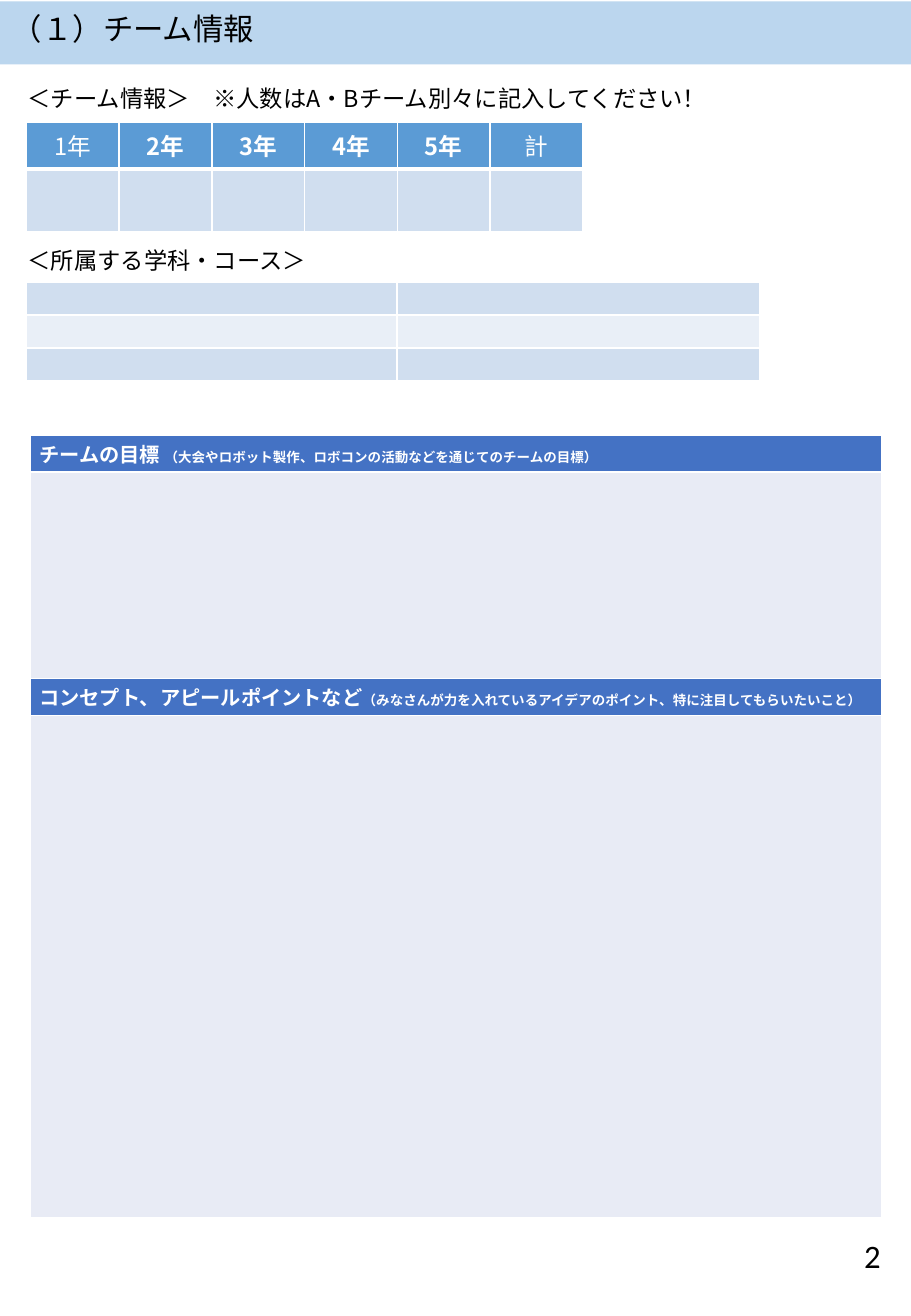
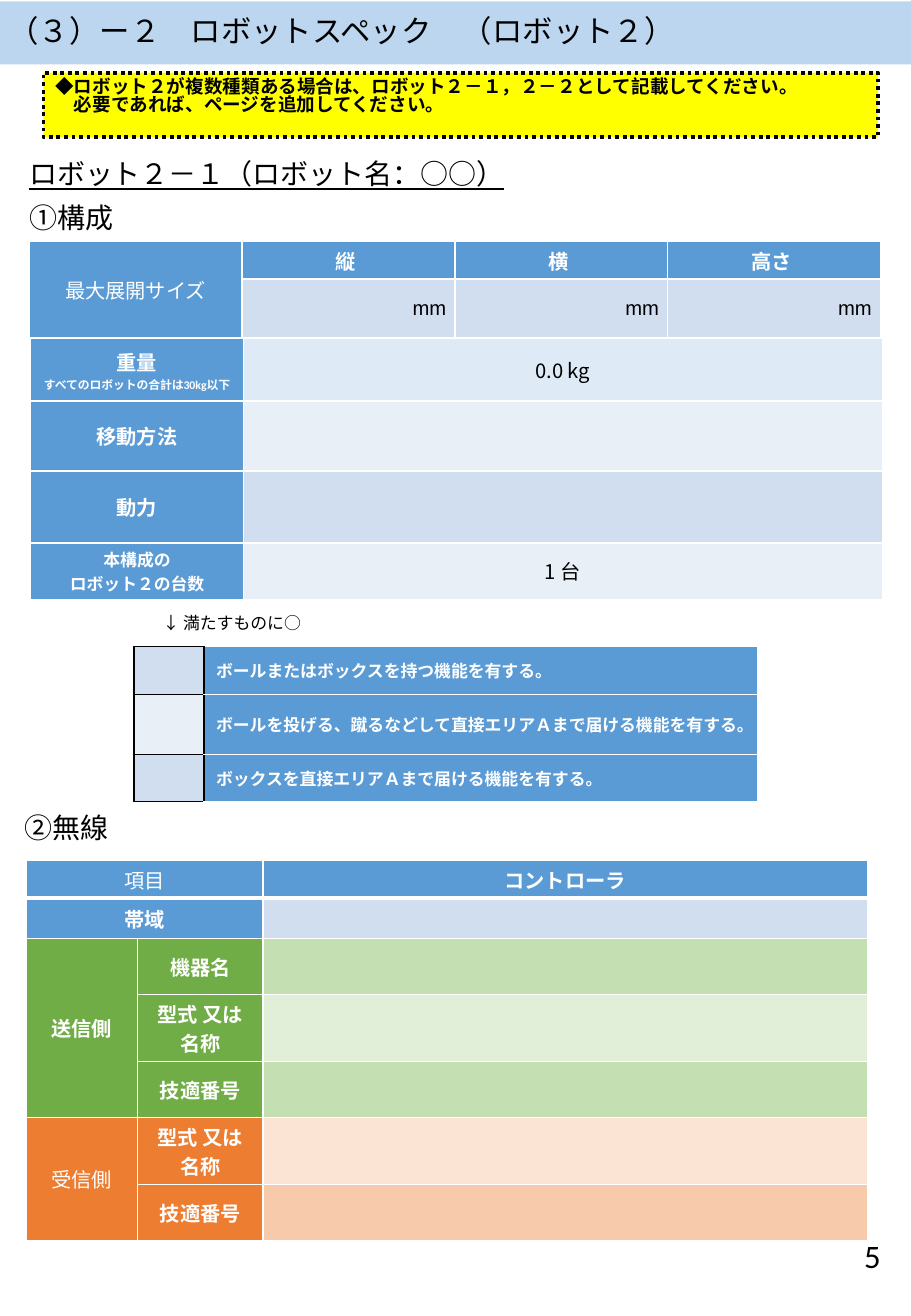
"""Build two entry-form pages for a robot contest: team details and robot specification."""
import itertools

import lxml.etree
import pptx
import pptx.dml.color
import pptx.enum.dml
import pptx.enum.shapes
import pptx.enum.text
import pptx.oxml.ns
import pptx.util

Cm, Pt = pptx.util.Cm, pptx.util.Pt
ALIGN = pptx.enum.text.PP_ALIGN
ANCHOR = pptx.enum.text.MSO_ANCHOR
JAPANESE = "Noto Sans CJK JP"

BLACK, WHITE, YELLOW, BAND = "000000", "FFFFFF", "FFFF00", "BBD6EE"
BLUE, BLUE_MID, BLUE_SOFT, BLUE_LIGHT = "5B9BD5", "D0DEEF", "DEEBF7", "E9EFF7"
NAVY, NAVY_LIGHT = "4472C4", "E8EBF5"
GREEN, GREEN_MID, GREEN_LIGHT = "70AD47", "C4E0B2", "E1EFD8"
ORANGE, ORANGE_MID, ORANGE_LIGHT = "ED7D31", "F7CAAC", "FBE4D4"

WIDE_INSET, TIGHT_INSET = (0.25, 0.13), (0.18, 0.08)
HEAD = {"color": WHITE, "bold": True, "align": ALIGN.CENTER}
PLAIN_HEAD = {**HEAD, "bold": False}
LEFT_HEAD = {**HEAD, "align": ALIGN.LEFT}
HEAD_ARIAL = {**HEAD, "font": "Arial"}
HEAD_CALIBRI = {**HEAD, "font": "Calibri"}
VALUE = {"align": ALIGN.CENTER}
UNIT = {"align": ALIGN.RIGHT, "font": "Arial"}
HEADING = {"size": 16.6, "spacing": 0.9}
SUBTITLE = {"size": 13.8, "spacing": 0.9}

PAGES = [
    {
        "title": ("（１）チーム情報", (0, 0.18, 6.53, 0.91), WIDE_INSET),
        "number": "2",
        "labels": [
            ("＜チーム情報＞　※人数はA・Bチーム別々に記入してください！",
             (0.33, 1.63, 15.7, 0.91), WIDE_INSET, SUBTITLE),
            ("＜所属する学科・コース＞", (0.33, 5.03, 15.7, 0.91), WIDE_INSET, SUBTITLE),
        ],
        "tables": [
            {"at": (0.55, 2.55), "cols": [1.94] * 6, "rows": [0.94, 1.32],
             "thick_head": True, "inset": WIDE_INSET, "size": 14,
             "cells": [
                 [("1年", BLUE, PLAIN_HEAD)]
                 + [(f"{year}年", BLUE, HEAD) for year in range(2, 6)]
                 + [("計", BLUE, PLAIN_HEAD)],
                 [("", BLUE_MID)] * 6]},
            {"at": (0.56, 5.9), "cols": [7.74, 7.59], "rows": [0.69] * 3,
             "cells": [[("", fill)] * 2 for fill in (BLUE_MID, BLUE_LIGHT, BLUE_MID)]},
            {"at": (0.64, 9.09), "cols": [17.8], "rows": [0.78, 4.31, 0.78, 10.5],
             "anchor": ANCHOR.TOP,
             "cells": [
                 [([[("チームの目標 ", 12),
                     ("（大会やロボット製作、ロボコンの活動などを通じてのチームの目標）", 8)]],
                   NAVY, {**LEFT_HEAD, "font": "Arial"})],
                 [("", NAVY_LIGHT)],
                 [([[("コンセプト、アピールポイントなど", 12),
                     ("（みなさんが力を入れているアイデアのポイント、特に注目してもらいたいこと）", 8)]],
                   NAVY, {**LEFT_HEAD, "font": "Arial"})],
                 [("", NAVY_LIGHT)]]},
        ],
    },
    {
        "title": ("（３）ー２　ロボットスペック　（ロボット２）", (0, 0, 15.85, 1.35), TIGHT_INSET),
        "number": "5",
        "notice": "◆ロボット２が複数種類ある場合は、ロボット２－１，２－２として記載してください。\n"
                  "　必要であれば、ページを追加してください。",
        "labels": [
            ("ロボット２－１（ロボット名：○○）", (0.43, 3, 17.8, 1.35), TIGHT_INSET,
             {**HEADING, "underline": True}),
            ("①構成", (0.43, 3.91, 17.8, 1.35), TIGHT_INSET, HEADING),
            ("↓ 満たすものに○", (3.15, 12.67, 5.5, 0.69), WIDE_INSET, {"size": 10}),
            ("②無線", (0.33, 16.66, 17.8, 1.35), TIGHT_INSET, HEADING),
        ],
        "tables": [
            {"at": (0.61, 5.05), "cols": [4.45] * 4, "rows": [0.78, 1.23],
             "merges": [(0, 0, 1, 0)],
             "cells": [
                 [("最大展開サイズ", BLUE, PLAIN_HEAD)]
                 + [(side, BLUE, HEAD_ARIAL) for side in ("縦 ", "横 ", "高さ ")],
                 [("", BLUE)] + [("mm", BLUE_MID, UNIT)] * 3]},
            {"at": (0.64, 7.08), "cols": [4.45, 13.36], "rows": [1.3, 1.47, 1.5, 1.18],
             "cells": [
                 [([[("重量", 12)], [("すべてのロボットの合計は30kg以下", 7)]], BLUE, HEAD_CALIBRI),
                  ("0.0 kg", BLUE_SOFT, VALUE)],
                 [("移動方法", BLUE, HEAD), ("", BLUE_LIGHT)],
                 [("動力", BLUE, HEAD), ("", BLUE_MID)],
                 [("本構成の\nロボット２の台数", BLUE, {**HEAD, "size": 10}),
                  ("1 台", BLUE_LIGHT, VALUE)]]},
            {"at": (2.8, 13.52), "cols": [1.47, 11.58], "rows": [1, 1.25, 0.98],
             "black_column": True, "inset": WIDE_INSET, "size": 10,
             "cells": [
                 [("", BLUE_MID), ("ボールまたはボックスを持つ機能を有する。", BLUE, LEFT_HEAD)],
                 [("", BLUE_LIGHT),
                  ("ボールを投げる、蹴るなどして直接エリアＡまで届ける機能を有する。", BLUE, LEFT_HEAD)],
                 [("", BLUE_MID),
                  ("ボックスを直接エリアＡまで届ける機能を有する。", BLUE, LEFT_HEAD)]]},
            {"at": (0.54, 17.99), "cols": [2.34, 2.62, 12.64],
             "rows": [0.78, 0.85, 1.17, 1.4, 1.17, 1.4, 1.17], "thick_head": True,
             "merges": [(0, 0, 0, 1), (1, 0, 1, 1), (2, 0, 4, 0), (5, 0, 6, 0)],
             "cells": [
                 [("項目", BLUE, PLAIN_HEAD), ("", BLUE), ("コントローラ", BLUE, HEAD)],
                 [("帯域", BLUE, HEAD), ("", BLUE), ("", BLUE_MID)],
                 [("送信側", GREEN, HEAD), ("機器名", GREEN, HEAD), ("", GREEN_MID)],
                 [("", GREEN), ("型式 又は 名称", GREEN, HEAD), ("", GREEN_LIGHT)],
                 [("", GREEN), ("技適番号", GREEN, HEAD), ("", GREEN_MID)],
                 [("受信側", ORANGE, PLAIN_HEAD), ("型式 又は 名称", ORANGE, HEAD),
                  ("", ORANGE_LIGHT)],
                 [("", ORANGE), ("技適番号", ORANGE, HEAD), ("", ORANGE_MID)]]},
        ],
    },
]


def rgb(value):
    return pptx.dml.color.RGBColor.from_string(value)


def paint(target, value):
    target.fill.solid()
    target.fill.fore_color.rgb = rgb(value)


def set_insets(target, inset):
    target.margin_left = target.margin_right = Cm(inset[0])
    target.margin_top = target.margin_bottom = Cm(inset[1])


def write(frame, text, size=12, color=BLACK, bold=False, underline=False,
          font=JAPANESE, align=ALIGN.LEFT, spacing=None):
    lines = [[(line, size)] for line in text.split("\n")] if isinstance(text, str) else text
    frame.text = "\n".join("" for line in lines)
    for para, line in zip(frame.paragraphs, lines):
        para.alignment = align
        if spacing:
            para.line_spacing = spacing
        for words, points in line:
            span = para.add_run()
            span.text = words
            span.font.size = Pt(points)
            span.font.name = font
            span.font.bold = bold
            span.font.underline = underline
            span.font.color.rgb = rgb(color)
            east_asian = lxml.etree.SubElement(span.font._element, pptx.oxml.ns.qn("a:ea"))
            east_asian.set("typeface", JAPANESE)


def fill_box(box, text, at, inset, anchor=ANCHOR.MIDDLE, **style):
    box.left, box.top, box.width, box.height = map(Cm, at)
    frame = box.text_frame
    write(frame, text, **style)
    frame.word_wrap = True
    frame.auto_size = pptx.enum.text.MSO_AUTO_SIZE.NONE
    frame.vertical_anchor = anchor
    set_insets(frame, inset)


def add_label(page, text, at, inset, style):
    fill_box(page.shapes.add_textbox(0, 0, 0, 0), text, at, inset, **style)


def add_rectangle(page, at, fill):
    box = page.shapes.add_shape(pptx.enum.shapes.MSO_SHAPE.RECTANGLE, *map(Cm, at))
    box.shadow.inherit = False
    paint(box, fill)
    box.line.fill.background()
    return box


def add_notice(page, text):
    at = (0.91, 1.52, 17.45, 1.35)
    box = add_rectangle(page, at, YELLOW)
    box.line.color.rgb = rgb(BLACK)
    box.line.width = Pt(2.25)
    box.line.dash_style = pptx.enum.dml.MSO_LINE.ROUND_DOT
    fill_box(box, text, at, WIDE_INSET, ANCHOR.TOP, size=11, bold=True, spacing=0.82)


def set_borders(cell, borders):
    properties = cell._tc.get_or_add_tcPr()
    for position, (side, (color, points)) in enumerate(borders.items()):
        line = lxml.etree.Element(pptx.oxml.ns.qn(f"a:ln{side}"), w=str(Pt(points)))
        solid = lxml.etree.SubElement(line, pptx.oxml.ns.qn("a:solidFill"))
        lxml.etree.SubElement(solid, pptx.oxml.ns.qn("a:srgbClr"), val=color)
        properties.insert(position, line)


def add_grid(page, at, cols, rows, cells, merges=(), thick_head=False,
             black_column=False, inset=TIGHT_INSET, size=12, anchor=ANCHOR.MIDDLE):
    table = page.shapes.add_table(len(rows), len(cols), *map(Cm, at),
                                  Cm(sum(cols)), Cm(sum(rows))).table
    table.first_row = table.horz_banding = False
    for column, width in zip(table.columns, cols):
        column.width = Cm(width)
    for row, height in zip(table.rows, rows):
        row.height = Cm(height)
    for r, c in itertools.product(range(len(rows)), range(len(cols))):
        text, fill, *style = cells[r][c]
        cell = table.cell(r, c)
        paint(cell, fill)
        set_insets(cell, inset)
        cell.vertical_anchor = anchor
        if text:
            write(cell.text_frame, text, **{"size": size, **(style[0] if style else {})})
        else:
            cell.text_frame.paragraphs[0]._p.get_or_add_endParaRPr().set("sz", "600")
        borders = dict.fromkeys("LRTB", (BLACK if black_column and c == 0 else WHITE, 1))
        if black_column and c == 1:
            borders["L"] = (BLACK, 1)
        if thick_head and r < 2:
            borders["B" if r == 0 else "T"] = (WHITE, 3)
        set_borders(cell, borders)
    for top, left, bottom, right in merges:
        table.cell(top, left).merge(table.cell(bottom, right))


def main():
    deck = pptx.Presentation()
    deck.slide_width, deck.slide_height = Cm(19.05), Cm(27.51)
    layout = deck.slide_layouts[5]
    pages = [deck.slides.add_slide(layout) for content in PAGES]
    band = add_rectangle(pages[0], (0, 0.03, 19.05, 1.32), BAND)
    layout.shapes._spTree.insert(2, band._element)
    for page, content in zip(pages, PAGES):
        title, at, inset = content["title"]
        fill_box(page.shapes.title, title, at, inset, size=18, spacing=0.9)
        if "notice" in content:
            add_notice(page, content["notice"])
        for label in content["labels"]:
            add_label(page, *label)
        for grid in content["tables"]:
            add_grid(page, **grid)
        add_label(page, content["number"], (14.38, 25.5, 4.29, 1.47), WIDE_INSET,
                  {"size": 19.4, "font": "Calibri", "align": ALIGN.RIGHT})
    deck.save("out.pptx")


if __name__ == "__main__":
    main()
